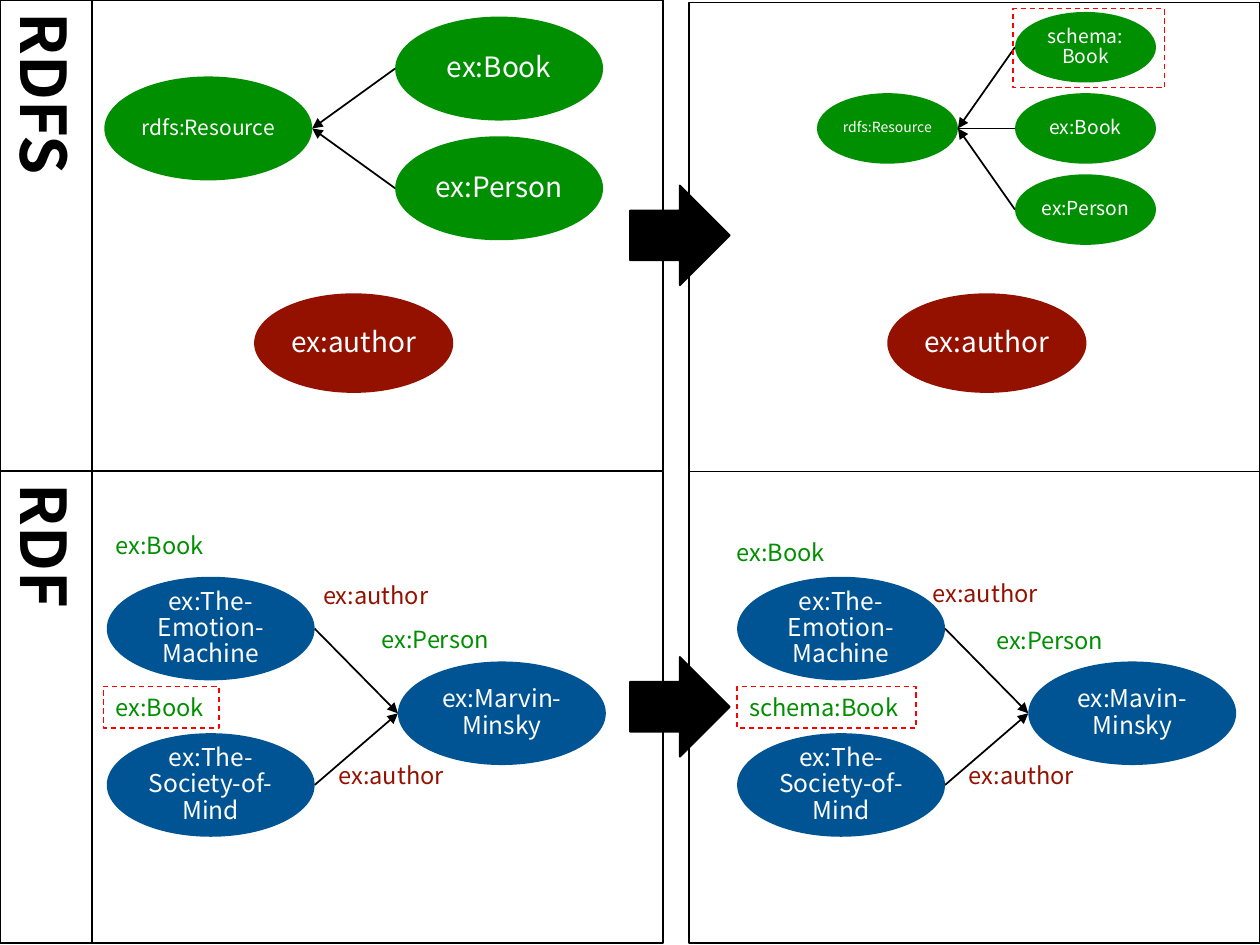
import pptx
import pptx.util
import pptx.dml.color
import pptx.enum.dml
import pptx.enum.shapes
import pptx.enum.text
import pptx.oxml
import pptx.oxml.ns

Pt = pptx.util.Pt
RGB = pptx.dml.color.RGBColor
KIND = pptx.enum.shapes.MSO_SHAPE
ALIGN = pptx.enum.text.PP_ALIGN
MID = pptx.enum.text.MSO_ANCHOR.MIDDLE

GREEN = RGB(0x00, 0x8F, 0x00)
BROWN = RGB(0x94, 0x11, 0x00)
BLUE = RGB(0x00, 0x54, 0x93)
WHITE = RGB(0xFF, 0xFF, 0xFF)
BLACK = RGB(0, 0, 0)
RED = RGB(0xFF, 0, 0)
FACE = "Noto Sans CJK JP"

SIDE, WIDE, HIGH = 52.6, 326.4, 269.4
LEFT, RIGHT = SIDE, 393.8
AXIS = 73.4

INSET = {f"margin_{edge}": Pt(0.72) for edge in ("left", "right", "top", "bottom")}
OVAL = {"word_wrap": True, "vertical_anchor": MID, **INSET}
LABEL = {"word_wrap": True, "vertical_anchor": MID}
TAG = {"word_wrap": False, "vertical_anchor": pptx.enum.text.MSO_ANCHOR.TOP}


def put(item, form):
    for key, value in form.items():
        setattr(item, key, value)


def write(shape, text, frame, para, font, color):
    body = shape.text_frame
    put(body, frame)
    body.text = text
    put(body.paragraphs[0], para)
    for run in body.paragraphs[0].runs:
        put(run.font, {"name": FACE, **font})
        run.font.color.rgb = color


def draw(slide, kind, box, fill=None, edge=None, width=1):
    shape = slide.shapes.add_shape(kind, *map(Pt, box))
    shape.shadow.inherit = False
    if fill is None:
        shape.fill.background()
    else:
        shape.fill.solid()
        shape.fill.fore_color.rgb = fill
    if edge is None:
        shape.line.fill.background()
    else:
        shape.line.color.rgb = edge
        shape.line.width = Pt(width)
    return shape


def oval(slide, box, text, size, fill):
    shape = draw(slide, KIND.OVAL, box, fill)
    para = {"alignment": ALIGN.CENTER, "line_spacing": 0.9}
    write(shape, text, OVAL, para, {"size": Pt(size)}, WHITE)


def arrow(slide, start, end, head=True):
    line = slide.shapes.add_connector(
        pptx.enum.shapes.MSO_CONNECTOR.STRAIGHT, *map(Pt, start + end))
    put(line.line, {"width": Pt(1)})
    line.line.color.rgb = BLACK
    if head:
        tip = pptx.oxml.parse_xml(
            f'<a:tailEnd {pptx.oxml.ns.nsdecls("a")} type="triangle"/>')
        line.line._get_or_add_ln().append(tip)
    line._element.spPr.append(pptx.oxml.parse_xml(
        f'<a:effectLst {pptx.oxml.ns.nsdecls("a")}/>'))


def dash(slide, box):
    shape = draw(slide, KIND.RECTANGLE, box, None, RED, 0.75)
    shape.line.dash_style = pptx.enum.dml.MSO_LINE.DASH
    return shape


def tag(slide, left, top, wide, text, color, framed=False):
    box = (left, top, wide, 23.8)
    shape = (dash(slide, box) if framed
             else slide.shapes.add_textbox(*map(Pt, box)))
    write(shape, text, TAG, {"alignment": ALIGN.LEFT}, {"size": Pt(13.5)}, color)


def row(slide, top, name, drop):
    draw(slide, KIND.RECTANGLE, (LEFT, top, WIDE, HIGH), WHITE, BLACK)
    label = draw(slide, KIND.RECTANGLE, (0, top, SIDE, HIGH), WHITE, BLACK)
    write(label, name, LABEL, {"alignment": ALIGN.CENTER},
          {"size": Pt(36), "bold": True}, BLACK)
    label.text_frame._txBody.bodyPr.set("vert", "eaVert")
    draw(slide, KIND.RECTANGLE, (RIGHT, top + drop, WIDE, HIGH), WHITE, BLACK)


def schema(slide, left, hub, kids, wide, high, step, sizes, prop):
    inner, outer = left + hub, left + kids[0]
    oval(slide, (inner, AXIS - high / 2, wide, high),
         "rdfs:Resource", sizes[0], GREEN)
    names = kids[1:]
    for rank, name in enumerate(names):
        mid = AXIS + (rank - (len(names) - 1) / 2) * step
        arrow(slide, (outer, mid), (inner + wide, AXIS), mid != AXIS)
        oval(slide, (outer, mid - high / 2, wide, high), name, sizes[1], GREEN)
    oval(slide, (left + prop, 167.6, 113.8, 56.9), "ex:author", 16, BROWN)


def facts(slide, left, top, person, tags):
    wide, high = 118.8, 59.2
    goal = (left + 166.4, top + 48.4)
    hit = (goal[0], goal[1] + high / 2)
    books = ("ex:The-Emotion-Machine", "ex:The-Society-of-Mind")
    for rank, book in enumerate(books):
        head = top + rank * 89.4
        arrow(slide, (left + wide, head + high / 2), hit)
        oval(slide, (left, head, wide, high), book, 14, BLUE)
    oval(slide, goal + (wide, high), person, 14, BLUE)
    for across, down, *rest in tags:
        tag(slide, left + across, top + down, *rest)


deck = pptx.Presentation()
put(deck, {"slide_width": Pt(720), "slide_height": Pt(540)})
page = deck.slides.add_slide(deck.slide_layouts[6])

row(page, 0, "RDFS", 1.4)
row(page, HIGH, "RDF", 0)

schema(page, LEFT, 7, (173.2, "ex:Book", "ex:Person"),
       118.8, 59.4, 68.4, (12, 16), 92.6)
schema(page, RIGHT, 73, (186.2, "schema:\vBook", "ex:Book", "ex:Person"),
       80.6, 40.3, 46.4, (8, 11), 113.2)
dash(page, (578.8, 5, 86.6, 45.2))

facts(page, 61, 329.6, "ex:Marvin-Minsky", (
    (-2, -30, 66.2, "ex:Book", GREEN),
    (116.6, -1.4, 75.6, "ex:author", BROWN),
    (125.4, 101.6, 75.6, "ex:author", BROWN),
    (150, 24, 78.5, "ex:Person", GREEN),
    (-2, 62.6, 66.2, "ex:Book", GREEN, True)))
facts(page, 421.2, 329.6, "ex:Mavin-Minsky", (
    (-7.2, -26, 66.2, "ex:Book", GREEN),
    (104.6, -2.6, 75.6, "ex:author", BROWN),
    (125.4, 101.6, 75.6, "ex:author", BROWN),
    (141, 24.6, 78.5, "ex:Person", GREEN),
    (0, 62.6, 102.2, "schema:Book", GREEN, True)))

for top in (0, HIGH):
    draw(page, KIND.RIGHT_ARROW, (360, top + 106, 57, 57), BLACK, BLACK)

deck.save("out.pptx")
